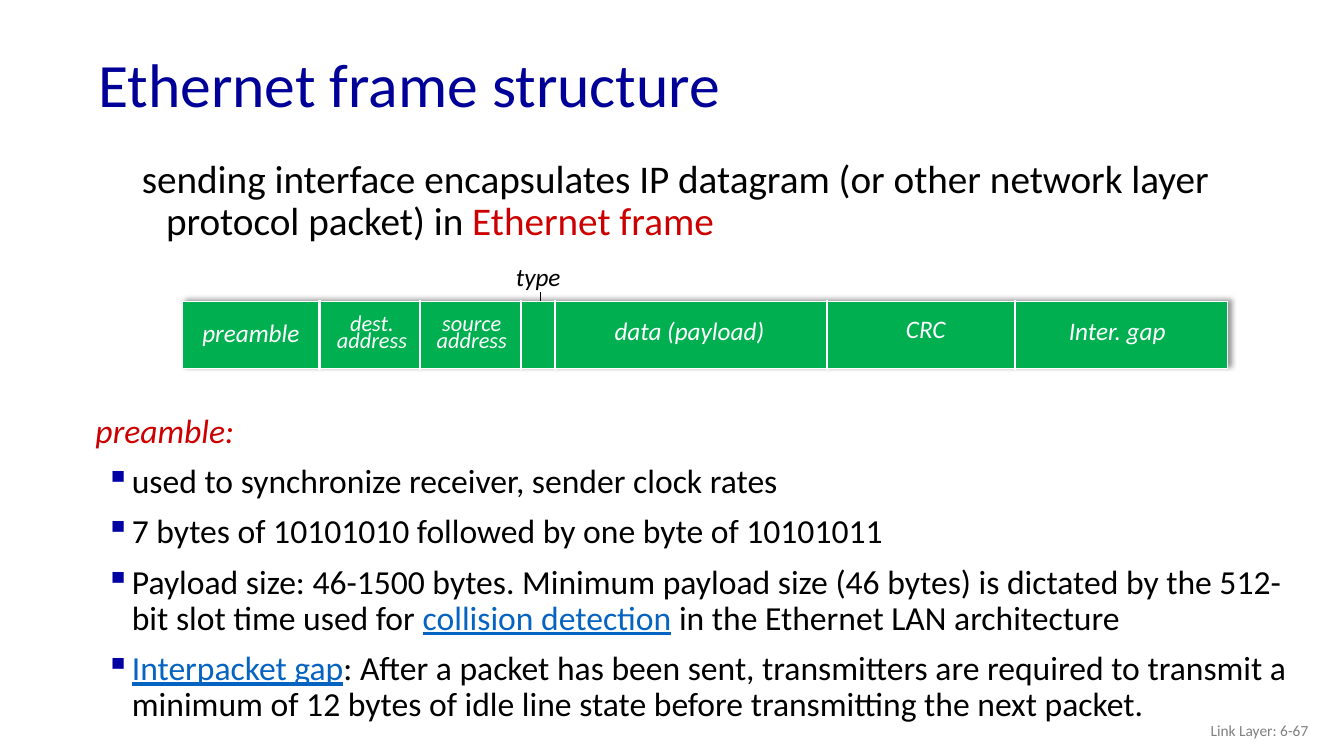
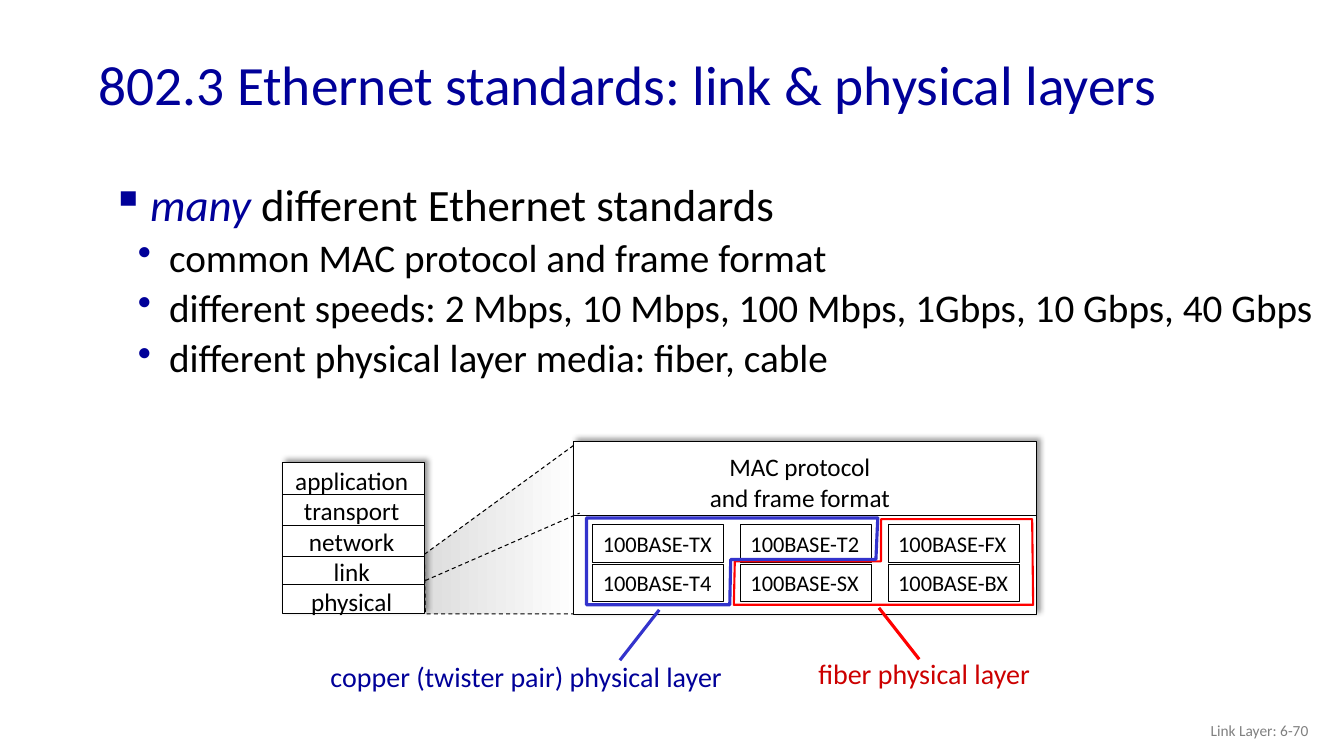
from lxml.etree import SubElement
from pptx import Presentation
from pptx.dml.color import RGBColor
from pptx.enum.dml import MSO_LINE
from pptx.enum.shapes import MSO_CONNECTOR, MSO_SHAPE
from pptx.enum.text import MSO_ANCHOR, MSO_AUTO_SIZE, PP_ALIGN
from pptx.oxml.ns import qn
from pptx.util import Pt

NAVY = RGBColor(0x00, 0x00, 0x99)
BULLET_BLUE = RGBColor(0x00, 0x00, 0xA3)
COPPER_BLUE = RGBColor(0x33, 0x33, 0xCC)
LINK_BLUE = RGBColor(0x05, 0x63, 0xC1)
DARK_RED = RGBColor(0xCC, 0x00, 0x00)
RED = RGBColor(0xFF, 0x00, 0x00)
GREEN = RGBColor(0x00, 0xB0, 0x50)
GRAY = RGBColor(0x80, 0x80, 0x80)
PALE_GRAY = RGBColor(0xDD, 0xDD, 0xDD)
BLACK = RGBColor(0x00, 0x00, 0x00)
WHITE = RGBColor(0xFF, 0xFF, 0xFF)


class Deck:
    """Holds the shared style and the slide being filled; lengths are points."""

    font_name = "Calibri"

    def __init__(self):
        self.presentation = Presentation()
        self.presentation.slide_width = Pt(960)
        self.presentation.slide_height = Pt(540)
        self.slide = None

    def add_slide(self, title, number, title_size=44):
        layout = self.presentation.slide_layouts[5]
        self.slide = self.presentation.slides.add_slide(layout)
        heading = self.slide.shapes.title
        place = {"left": 63, "top": 27, "width": 828, "height": 71}
        for side, length in place.items():
            setattr(heading, side, Pt(length))
        frame = heading.text_frame
        frame.word_wrap = True
        frame.auto_size = MSO_AUTO_SIZE.NONE
        frame.vertical_anchor = MSO_ANCHOR.MIDDLE
        self.add_runs(frame.paragraphs[0], [(title, {})], title_size, NAVY,
                      alignment=PP_ALIGN.LEFT, line_spacing=0.9)
        self.footer(f"Link Layer: 6-{number}")

    def footer(self, text):
        frame = self.text_box(725.8, 507.6, 216, 28.8)
        frame.vertical_anchor = MSO_ANCHOR.MIDDLE
        self.add_runs(frame.paragraphs[0], [(text, {})], 11, GRAY,
                      alignment=PP_ALIGN.RIGHT)

    def text_box(self, left, top, width, height):
        box = self.slide.shapes.add_textbox(
            Pt(left), Pt(top), Pt(width), Pt(height))
        box.text_frame.word_wrap = True
        return box.text_frame

    def add_runs(self, paragraph, runs, size, color, **layout):
        """Fill a paragraph with (text, font overrides) runs."""
        for name, value in layout.items():
            setattr(paragraph, name, value)
        for text, overrides in runs:
            run = paragraph.add_run()
            run.text = text
            values = {"name": self.font_name, "size": Pt(size), "color": color}
            for name, value in (values | overrides).items():
                if name == "color":
                    run.font.color.rgb = value
                else:
                    setattr(run.font, name, value)

    def body(self, place, items):
        """Add paragraphs of (runs, size, margin, indent, space before, bullet, colour, level)."""
        frame = self.text_box(*place)
        for index, item in enumerate(items):
            runs, size, margin, indent, before, bullet, bullet_color, level = item
            paragraph = frame.add_paragraph() if index else frame.paragraphs[0]
            self.add_runs(paragraph, runs, size, BLACK, level=level,
                          line_spacing=0.9, space_before=Pt(before))
            properties = paragraph._p.get_or_add_pPr()
            properties.set("marL", str(Pt(margin)))
            properties.set("indent", str(Pt(indent)))
            if bullet:
                color = SubElement(properties, qn("a:buClr"))
                SubElement(color, qn("a:srgbClr"), val=str(bullet_color))
                SubElement(properties, qn("a:buChar"), char=bullet)

    def label(self, place, lines, size, color=BLACK, wrap=False, italic=None,
              **layout):
        self.fill_label(self.text_box(*place), lines, size, color, wrap,
                        italic, **layout)

    def fill_label(self, frame, lines, size, color=BLACK, wrap=False,
                   italic=None, **layout):
        frame.word_wrap = wrap
        frame.auto_size = MSO_AUTO_SIZE.SHAPE_TO_FIT_TEXT
        for index, line in enumerate(lines):
            paragraph = frame.add_paragraph() if index else frame.paragraphs[0]
            self.add_runs(paragraph, [(line, {"italic": italic})], size, color,
                          **layout)

    def outline(self, shape, color, weight, dash=None):
        shape.line.color.rgb = color
        shape.line.width = Pt(weight)
        if dash:
            shape.line.dash_style = dash

    def line(self, start, end, color=BLACK, weight=0.75, dash=None):
        ends = [Pt(value) for value in (*start, *end)]
        connector = self.slide.shapes.add_connector(MSO_CONNECTOR.STRAIGHT, *ends)
        self.outline(connector, color, weight, dash)
        SubElement(connector._element.spPr, qn("a:effectLst"))

    def box(self, place, fill=None, line_color=BLACK, shadow=False):
        box = self.slide.shapes.add_shape(
            MSO_SHAPE.RECTANGLE, *[Pt(value) for value in place])
        if fill is None:
            box.fill.background()
        else:
            box.fill.solid()
            box.fill.fore_color.rgb = fill
        self.outline(box, line_color, 0.75)
        box.shadow.inherit = False
        if shadow:
            effects = box._element.spPr.find(qn("a:effectLst"))
            outer = SubElement(effects, qn("a:outerShdw"), blurRad=str(Pt(4)),
                               dist=str(Pt(3)), dir=str(315 * 60000))
            color = SubElement(outer, qn("a:srgbClr"), val=str(BLACK))
            SubElement(color, qn("a:alpha"), val="40000")
        return box

    def polygon(self, points, color, weight, dash=None, gradient=None):
        corners = [(Pt(x), Pt(y)) for x, y in points]
        builder = self.slide.shapes.build_freeform(*corners[0], scale=1.0)
        builder.add_line_segments(corners[1:], close=True)
        polygon = builder.convert_to_shape()
        if gradient:
            polygon.fill.gradient()
            polygon.fill.gradient_angle = 0
            for stop, stop_color in zip(polygon.fill.gradient_stops, gradient):
                stop.color.rgb = stop_color
        else:
            polygon.fill.background()
        self.outline(polygon, color, weight, dash)
        polygon.shadow.inherit = False


def frame_structure(deck):
    deck.add_slide("Ethernet frame structure", 67)
    intro = [("sending interface encapsulates IP datagram (or other network "
              "layer protocol packet) in ", {}),
             ("Ethernet frame", {"color": DARK_RED})]
    deck.body((83.5, 110.2, 876, 90),
              [(intro, 28, 28, -17.3, 10, None, None, 0)])

    deck.line((385.9, 208.8), (385.9, 226.8))
    deck.box((130.3, 215.3, 746.6, 48.2), GREEN, WHITE, shadow=True)
    for x in (228.2, 300.2, 372.2, 396.7, 590.4, 725):
        deck.line((x, 214.6), (x, 264.6), WHITE, 1.5)
    fields = [
        (179.3, 232.6, 18, ["preamble"]),
        (265.7, 224.6, 16, ["dest.", "address"]),
        (337, 224.6, 16, ["source", "address"]),
        (492.5, 231.1, 18, ["data (payload)"]),
        (661.3, 229.7, 18, ["CRC"]),
        (798.1, 231.1, 18, ["Inter. gap"]),
    ]
    field_width = 136
    for center, top, size, lines in fields:
        deck.label((center - field_width / 2, top, field_width,
                    12 * len(lines) + 7.2),
                   lines, size, WHITE, wrap=True, italic=True,
                   alignment=PP_ALIGN.CENTER, line_spacing=Pt(12))
    deck.label((361.4, 182.9, 75.6, 26), ["type"], 18, wrap=True, italic=True)

    link = {"color": LINK_BLUE, "underline": True}
    facts = [
        [("used to synchronize receiver, sender clock rates", {})],
        [("7 bytes of 10101010 followed by one byte of 10101011", {})],
        [("Payload size: 46-1500 bytes. Minimum payload size (46 bytes) is "
          "dictated by the 512-bit slot time used for ", {}),
         ("collision detection", link),
         (" in the Ethernet LAN architecture", {})],
        [("Interpacket gap", link),
         (": After a packet has been sent, transmitters are required to "
          "transmit a minimum of 12 bytes of idle line state before "
          "transmitting the next packet.", {})],
    ]
    heading = [("preamble:", {"color": DARK_RED, "italic": True})]
    deck.body((50.4, 292.3, 877, 240),
              [(heading, 24, 28, -17.3, 10, None, None, 0)]
              + [(fact, 24, 36.7, -18.7, 10, "▪", BULLET_BLUE, 0)
                 for fact in facts])


def layer_stack(deck):
    left, right = 201.6, 303.5
    deck.box((left, 330.5, right - left, 108), WHITE, shadow=True)
    deck.label((203, 329, 96.5, 116.6),
               ["application", "transport", "network", "link", "physical"],
               18, alignment=PP_ALIGN.CENTER)
    for y in (353.5, 375.1, 397.4, 417.4):
        deck.line((left, y), (right, y))
    for x in (left, right):
        deck.line((x, 423), (x, 436), dash=MSO_LINE.DASH)


def ethernet_standards(deck):
    deck.add_slide("802.3 Ethernet standards: link & physical layers", 70, 39.6)
    many = [("many ", {"color": NAVY, "italic": True}),
            ("different Ethernet standards", {})]
    details = [
        "common MAC protocol and frame format",
        "different speeds: 2 Mbps, 10 Mbps, 100 Mbps, 1Gbps, 10 Gbps, 40 Gbps",
        "different physical layer media: fiber, cable",
    ]
    deck.body((72.7, 126.7, 882, 150),
              [(many, 32, 27.4, -27.4, 6.4, "▪", NAVY, 0)]
              + [([(detail, {})], 28, 41, -22.3, 5.6, "•", NAVY, 1)
                 for detail in details])

    deck.polygon([(409.7, 318.2), (303.1, 396), (303.8, 438.5), (412.6, 438.5)],
                 BLACK, 0.75, MSO_LINE.DASH, gradient=(PALE_GRAY, WHITE))
    layer_stack(deck)

    deck.box((409.7, 315.4, 330.5, 123.8), WHITE, shadow=True)
    deck.line((411, 367.9), (740.2, 367.9))
    deck.line((303.8, 414.7), (414, 366.5), dash=MSO_LINE.DASH)
    deck.label((499, 319, 144.7, 51), ["MAC protocol", "and frame format"], 18,
               alignment=PP_ALIGN.CENTER)
    standards = [["100BASE-TX", "100BASE-T2", "100BASE-FX"],
                 ["100BASE-T4", "100BASE-SX", "100BASE-BX"]]
    for row, names in enumerate(standards):
        for column, name in enumerate(names):
            cell = deck.box((423.5 + 105.5 * column, 375 + 28 * row, 93.6, 26.6))
            deck.fill_label(cell.text_frame, [name], 16,
                            alignment=PP_ALIGN.LEFT)

    deck.polygon([(629.3, 370.8), (629.3, 401), (524.9, 401), (524.2, 432),
                  (738, 432), (737.3, 370.8)], RED, 1.5)
    deck.line((627.8, 434.2), (656.6, 470.9), RED, 2.25)
    deck.label((577.4, 465.1, 167, 31.7), ["fiber physical layer"], 20, DARK_RED)
    deck.polygon([(627, 370), (625.7, 399.6), (522, 399.6), (521.3, 432),
                  (419, 432), (419, 370)], COPPER_BLUE, 2.25)
    deck.line((470.9, 435.6), (442.8, 471.6), COPPER_BLUE, 2.25)
    deck.label((229, 467.3, 306.7, 31.7),
               ["copper (twister pair) physical layer"], 20, NAVY, wrap=True)


def main():
    deck = Deck()
    frame_structure(deck)
    ethernet_standards(deck)
    deck.presentation.save("out.pptx")


if __name__ == "__main__":
    main()
